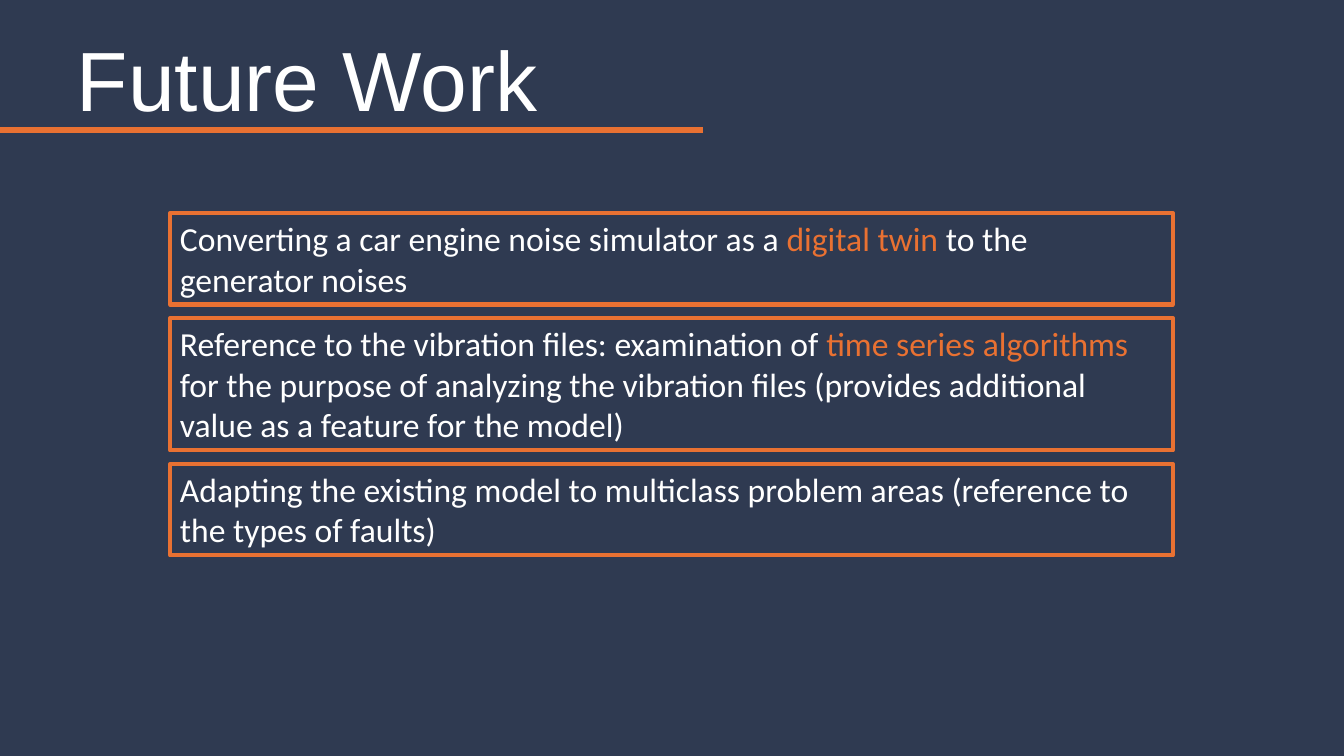
from lxml.etree import SubElement
from pptx import Presentation
from pptx.dml.color import RGBColor
from pptx.enum.shapes import MSO_CONNECTOR, MSO_SHAPE
from pptx.enum.text import MSO_ANCHOR, MSO_AUTO_SIZE, PP_ALIGN
from pptx.oxml.ns import qn
from pptx.util import Emu, Pt

NAVY = "2F3A51"
ORANGE = "E97132"
WHITE = "FFFFFF"

FUTURE_TASKS = [
    (87, [("Converting a car engine noise simulator as a ", WHITE),
          ("digital twin ", ORANGE),
          ("to the generator noises", WHITE)]),
    (126, [("Reference to the vibration files: examination of ", WHITE),
           ("time series algorithms", ORANGE),
           (" for the purpose of analyzing the vibration files "
            "(provides additional value as a feature for the model)", WHITE)]),
    (87, [("Adapting the existing model to multiclass problem areas "
           "(reference to the types of faults)", WHITE)]),
]


def px(length):
    return Emu(length * 9525)


def color(hex_value):
    return RGBColor.from_string(hex_value)


def add_title(slide, text, left, top, width, height):
    shape = slide.shapes.add_textbox(px(left), px(top), px(width), px(height))
    frame = shape.text_frame
    frame.word_wrap = True
    frame.vertical_anchor = MSO_ANCHOR.MIDDLE
    paragraph = frame.paragraphs[0]
    paragraph.text = text
    paragraph.alignment = PP_ALIGN.CENTER
    paragraph.line_spacing = 0.9
    paragraph.font.name = "Arial"
    paragraph.font.size = Pt(60)
    paragraph.font.color.rgb = color(WHITE)

    underline_y = px(top + 113)
    underline = slide.shapes.add_connector(
        MSO_CONNECTOR.STRAIGHT, 0, underline_y, px(left + width), underline_y)
    underline.line.color.rgb = color(ORANGE)
    underline.line.width = Pt(4.5)
    SubElement(underline._element.spPr, qn("a:effectLst"))


def add_task(slide, runs, left, top, width, height):
    shape = slide.shapes.add_shape(
        MSO_SHAPE.RECTANGLE, px(left), px(top), px(width), px(height))
    shape.shadow.inherit = False
    shape.fill.background()
    shape.line.color.rgb = color(ORANGE)
    shape.line.width = Pt(3)
    frame = shape.text_frame
    frame.word_wrap = True
    frame.auto_size = MSO_AUTO_SIZE.SHAPE_TO_FIT_TEXT
    frame.vertical_anchor = MSO_ANCHOR.TOP
    paragraph = frame.paragraphs[0]
    paragraph.alignment = PP_ALIGN.LEFT
    paragraph.font.name = "Calibri"
    paragraph.font.size = Pt(24)
    for text, hex_value in runs:
        run = paragraph.add_run()
        run.text = text
        run.font.color.rgb = color(hex_value)


def add_tasks(slide, left, top, width, gap):
    for height, runs in FUTURE_TASKS:
        add_task(slide, runs, left, top, width, height)
        top += height + gap


def main():
    presentation = Presentation()
    presentation.slide_width = px(1280)
    presentation.slide_height = px(720)
    slide = presentation.slides.add_slide(presentation.slide_layouts[6])
    slide.background.fill.solid()
    slide.background.fill.fore_color.rgb = color(NAVY)
    add_title(slide, "Future Work", -85, 11, 755, 139)
    add_tasks(slide, 162, 203, 955, 13)
    presentation.save("out.pptx")


if __name__ == "__main__":
    main()
